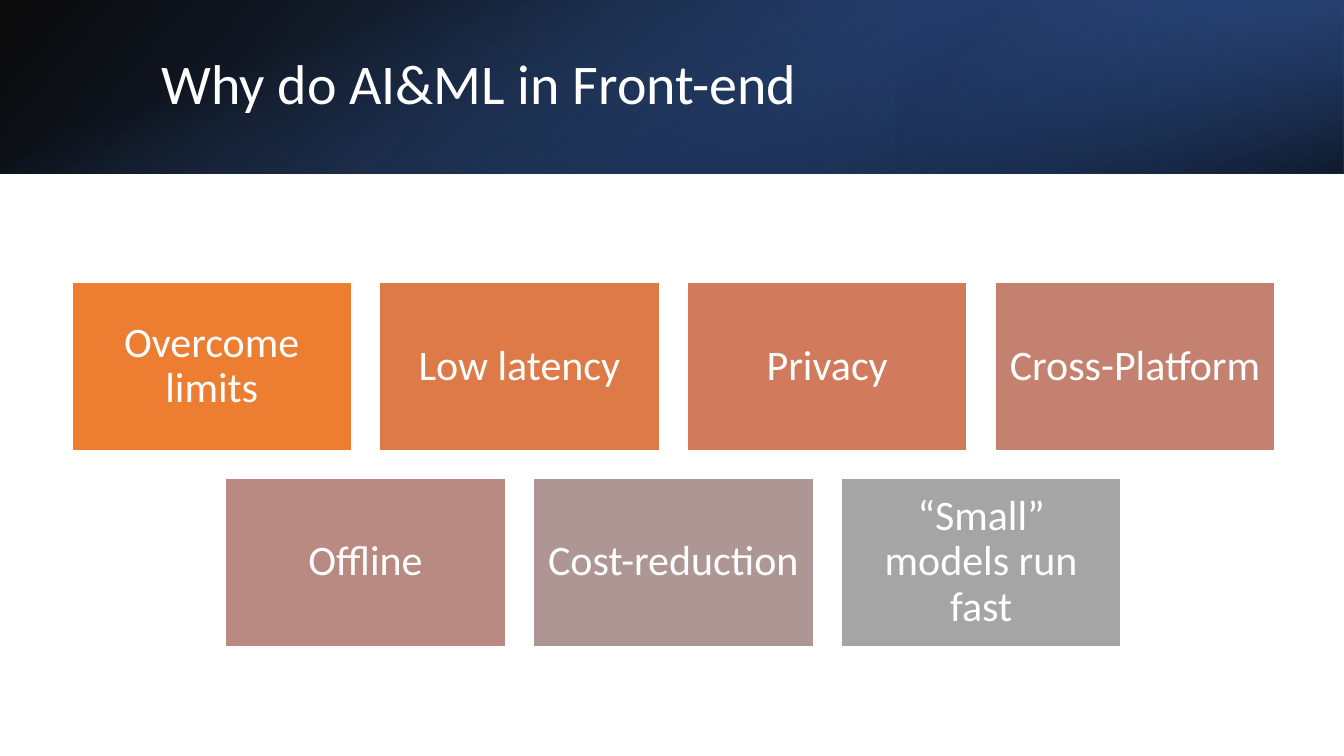
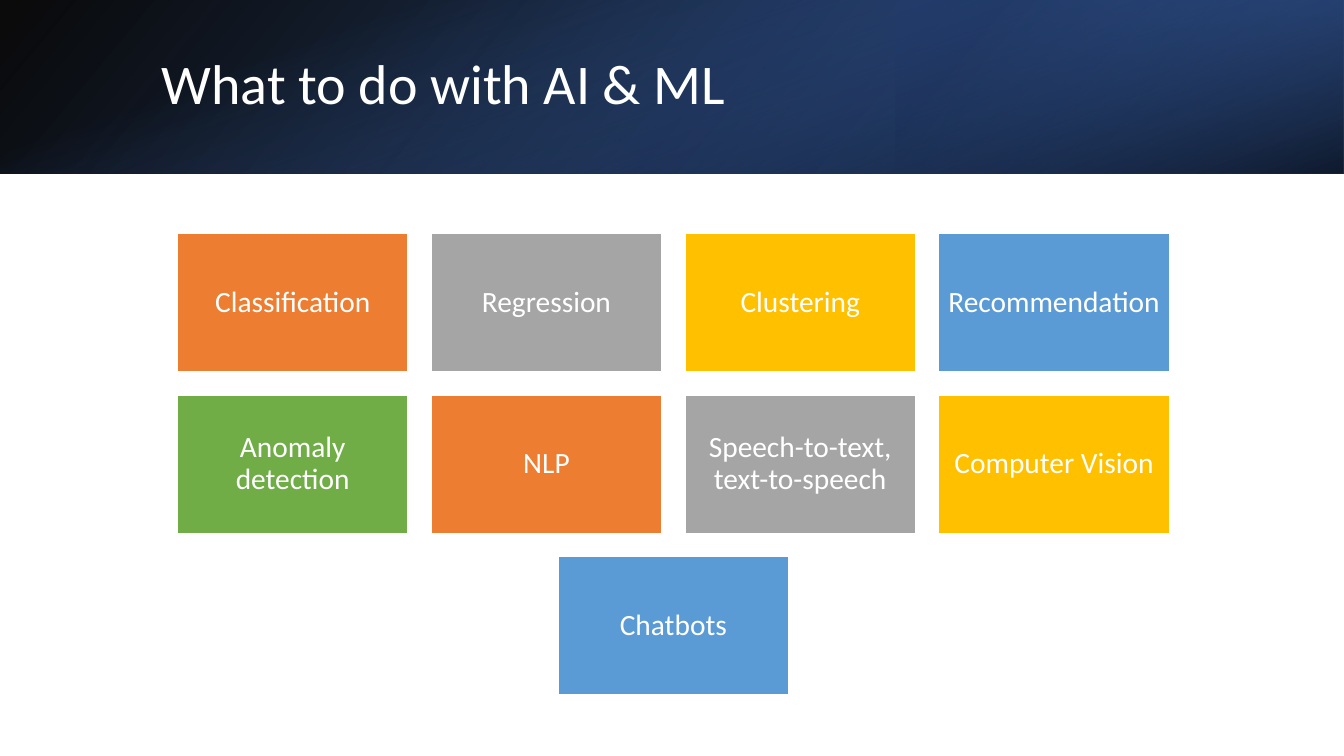
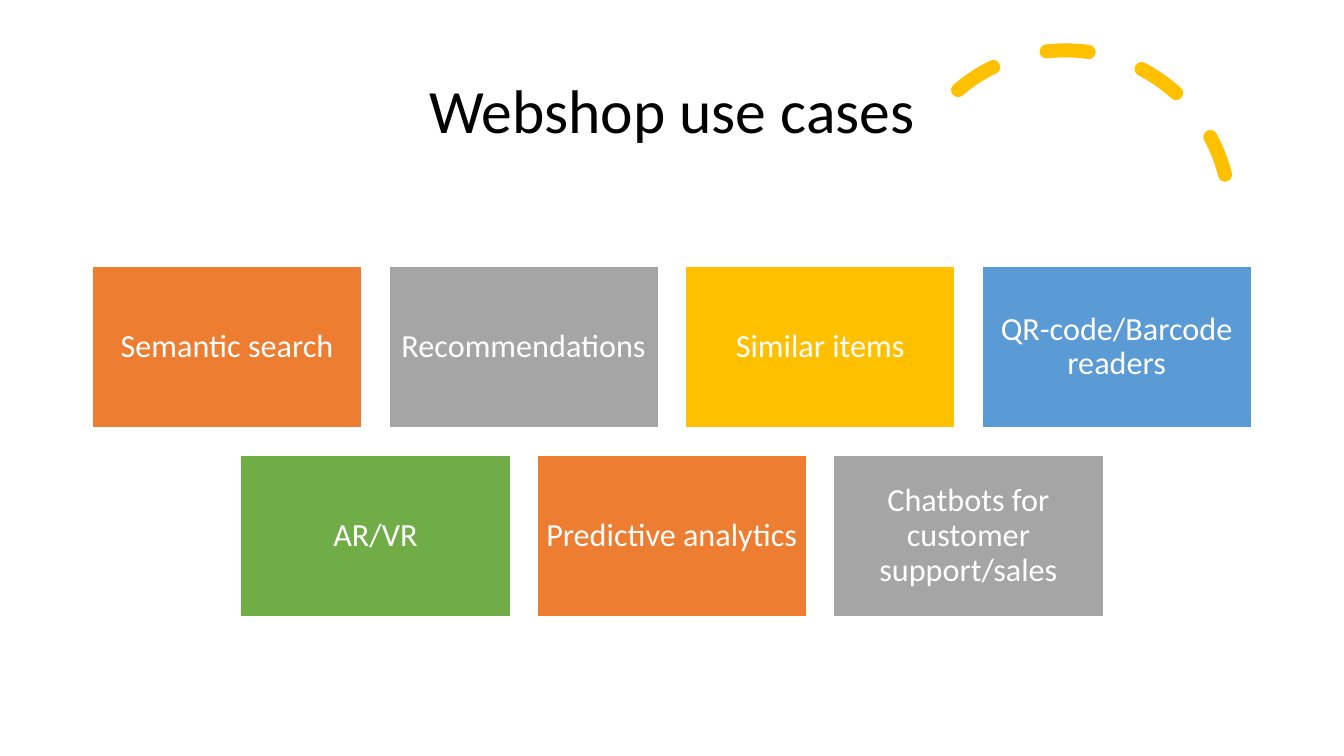
import dataclasses
import itertools

import lxml.etree
import pptx
import pptx.dml.color
import pptx.enum.dml
import pptx.enum.shapes
import pptx.enum.text
import pptx.oxml
import pptx.oxml.ns
import pptx.util

Cm = pptx.util.Cm
Pt = pptx.util.Pt
RGB = pptx.dml.color.RGBColor.from_string
SHAPE = pptx.enum.shapes.MSO_SHAPE
ALIGN = pptx.enum.text.PP_ALIGN
ANCHOR = pptx.enum.text.MSO_ANCHOR
qn = pptx.oxml.ns.qn


@dataclasses.dataclass(frozen=True)
class Theme:
    font: str = "Calibri"
    white: str = "FFFFFF"
    black: str = "000000"
    gold: str = "FFC000"
    navy: str = "203864"
    blue: str = "4472C4"
    deep_blue: str = "2F5597"
    accents: tuple = ("ED7D31", "A5A5A5", "FFC000", "5B9BD5", "70AD47")
    fade: tuple = ("ED7D31", "DE7A47", "D17B5C", "C48170", "B98A82", "AE9694", "A5A5A5")
    band_title: int = 40
    plain_title: int = 44
    large: int = 30
    medium: int = 23
    small: int = 21
    line_spacing: float = 0.9


T = Theme()
WIDTH, HEIGHT = 33.87, 19.05
BAND = (0, 0, WIDTH, 4.37)


def set_all(obj, values):
    for name, value in values.items():
        setattr(obj, name, value)


def write(shape, text, size, color, align, inset=None):
    tf = shape.text_frame
    tf.text = text
    set_all(tf, {"word_wrap": True, "vertical_anchor": ANCHOR.MIDDLE,
                 "auto_size": pptx.enum.text.MSO_AUTO_SIZE.NONE})
    if inset is not None:
        sides = ("margin_left", "margin_top", "margin_right", "margin_bottom")
        set_all(tf, dict.fromkeys(sides, Cm(inset)))
    p = tf.paragraphs[0]
    set_all(p, {"alignment": align, "line_spacing": T.line_spacing})
    r = p.runs[0]
    set_all(r.font, {"name": T.font, "size": Pt(size)})
    r.font.color.rgb = RGB(color)


def add_shape(s, kind, box):
    sp = s.shapes.add_shape(kind, *map(Cm, box))
    sp.shadow.inherit = False
    return sp


def fill_gradient(sp, stops, angle):
    grad = pptx.oxml.parse_xml(
        f'<a:gradFill {pptx.oxml.ns.nsdecls("a")} rotWithShape="1"><a:gsLst/>'
        f'<a:lin ang="{angle * 60000}" scaled="0"/></a:gradFill>')
    for position, color, opacity in stops:
        gs = lxml.etree.SubElement(grad[0], qn("a:gs"), pos=str(position * 1000))
        clr = lxml.etree.SubElement(gs, qn("a:srgbClr"), val=color)
        lxml.etree.SubElement(clr, qn("a:alpha"), val=str(opacity * 1000))
    sp.element.spPr.find(qn("a:prstGeom")).addnext(grad)


def add_band(s, box):
    left, top, width, height = box
    third = width / 3
    turned = (left + (width - height) / 2, top + (height - width) / 2, height, width)
    layers = (
        (box, 0, True, 140, ((0, T.black, 96), (100, T.deep_blue, 100))),
        ((left + width - third, top, third, height), 180, True, 320,
         ((19, T.navy, 68), (100, T.blue, 79))),
        (turned, 90, False, 340, ((23, T.blue, 0), (99, T.black, 74))),
    )
    for place, rotation, flipped, angle, stops in layers:
        sp = add_shape(s, SHAPE.RECTANGLE, place)
        sp.rotation = rotation
        sp.line.fill.background()
        if flipped:
            sp.element.spPr.xfrm.set("flipH", "1")
        fill_gradient(sp, stops, angle)


def add_arc(s, box):
    sp = add_shape(s, SHAPE.ARC, box)
    sp.rotation = 345.8
    sp.adjustments[0], sp.adjustments[1] = 146.129, 0
    sp.fill.background()
    sp.line.color.rgb = RGB(T.gold)
    set_all(sp.line, {"width": Pt(10), "dash_style": pptx.enum.dml.MSO_LINE.DASH})
    sp.element.spPr.find(qn("a:ln")).set("cap", "rnd")


def add_title(s, text, box, size, color, align):
    title = s.shapes.title
    set_all(title, dict(zip(("left", "top", "width", "height"), map(Cm, box))))
    write(title, text, size, color, align)
    title.element.getparent().append(title.element)


def add_tiles(s, box, labels, colors, size, columns=4):
    left, top, width = box
    tile_w = width / (columns + 0.1 * (columns - 1))
    tile_h, gap = 0.6 * tile_w, 0.1 * tile_w
    for i, (label, color) in enumerate(zip(labels, itertools.cycle(colors))):
        row, col = divmod(i, columns)
        count = min(columns, len(labels) - row * columns)
        indent = (columns - count) * (tile_w + gap) / 2
        place = (left + indent + col * (tile_w + gap), top + row * (tile_h + gap),
                 tile_w, tile_h)
        sp = add_shape(s, SHAPE.RECTANGLE, place)
        sp.fill.solid()
        sp.fill.fore_color.rgb = RGB(color)
        sp.line.color.rgb = RGB(T.white)
        sp.line.width = Pt(1)
        write(sp, label, size, T.white, ALIGN.CENTER, inset=0.01 * size)


def new_slide(prs):
    return prs.slides.add_slide(prs.slide_layouts.get_by_name("Title Only"))


def band_slide(prs, title, **tiles):
    s = new_slide(prs)
    add_band(s, BAND)
    add_title(s, title, (3.82, 0.97, 27.9, 2.43), T.band_title, T.white, ALIGN.LEFT)
    add_tiles(s, **tiles)


def arc_slide(prs, title, **tiles):
    s = new_slide(prs)
    add_arc(s, (22.7, 1.27, 8.3, 8.3))
    add_title(s, title, (2.33, 1.01, 29.21, 3.68), T.plain_title, T.black, ALIGN.CENTER)
    add_tiles(s, **tiles)


def main():
    prs = pptx.Presentation()
    set_all(prs, {"slide_width": Cm(WIDTH), "slide_height": Cm(HEIGHT)})
    band_slide(
        prs, "Why do AI&ML in Front-end",
        box=(1.81, 7.12, 30.32), colors=T.fade, size=T.large,
        labels=("Overcome limits", "Low latency", "Privacy", "Cross-Platform",
                "Offline", "Cost-reduction", "“Small” models run fast"))
    band_slide(
        prs, "What to do with AI & ML",
        box=(4.47, 5.88, 25), colors=T.accents, size=T.small,
        labels=("Classification", "Regression", "Clustering", "Recommendation",
                "Anomaly detection", "NLP", "Speech-to-text, text-to-speech",
                "Computer Vision", "Chatbots"))
    arc_slide(
        prs, "Webshop use cases",
        box=(2.33, 6.71, 29.21), colors=T.accents, size=T.medium,
        labels=("Semantic search", "Recommendations", "Similar items",
                "QR-code/Barcode readers", "AR/VR", "Predictive analytics",
                "Chatbots for customer support/sales"))
    prs.save("out.pptx")


if __name__ == "__main__":
    main()
